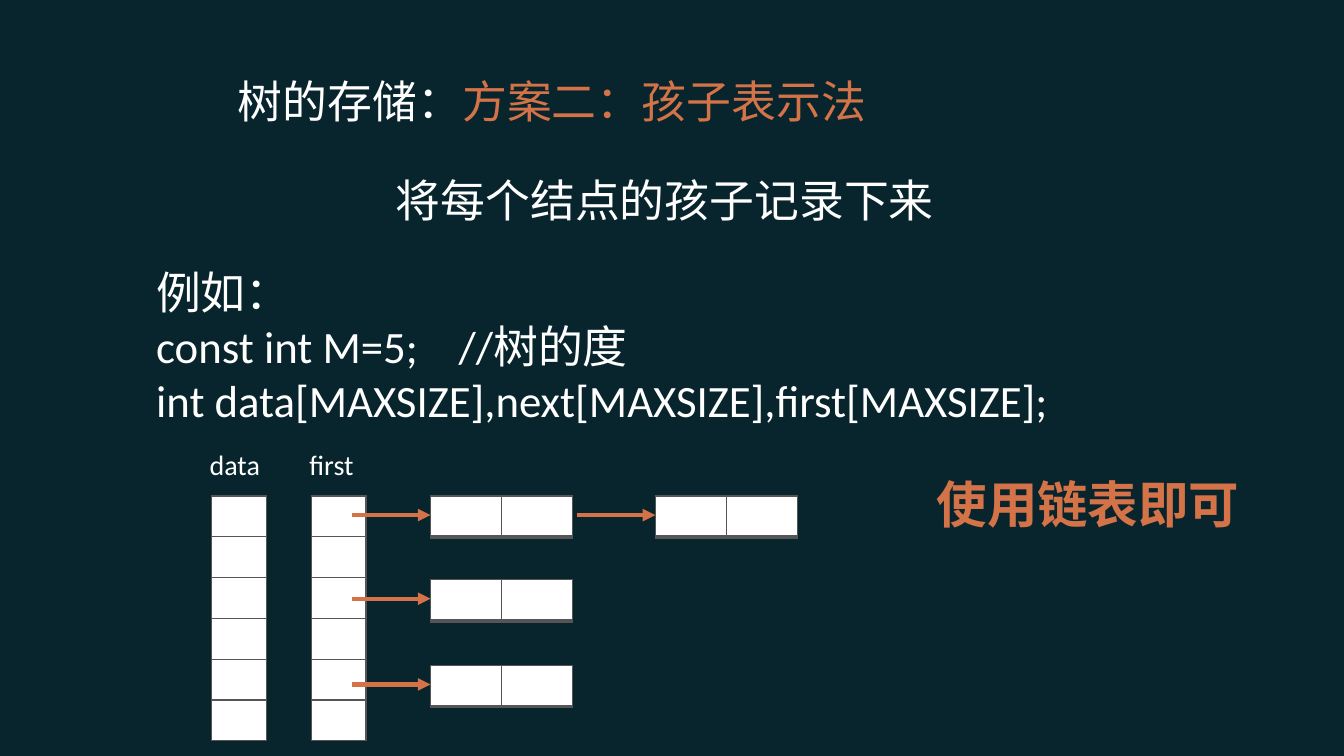
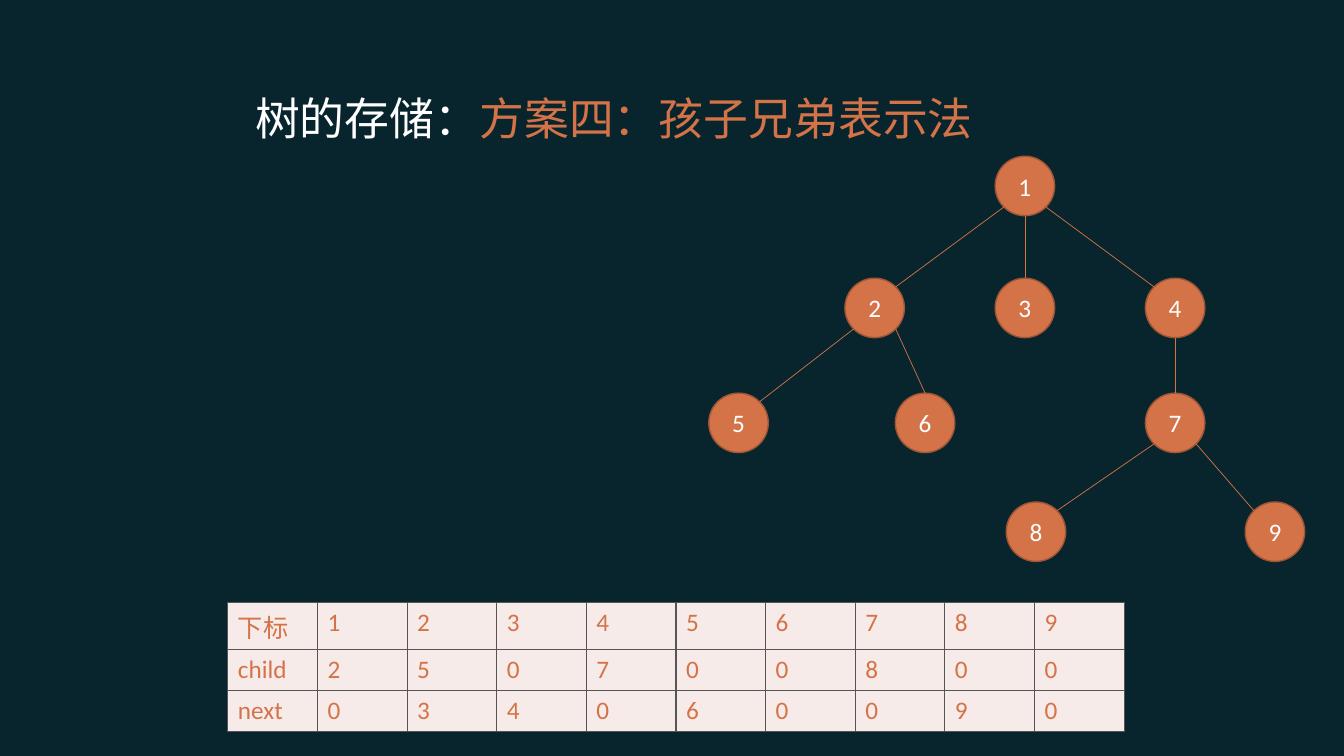
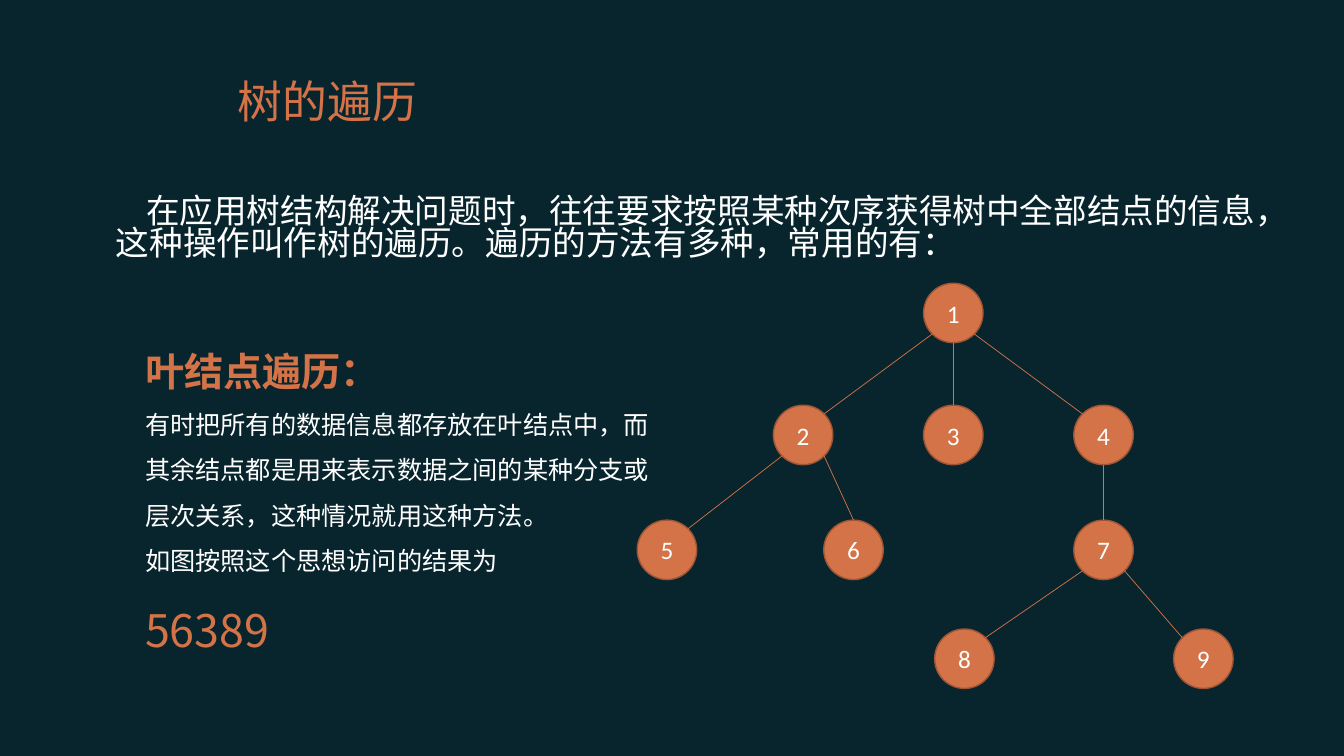
"""Build three slides on storing and traversing trees."""
import dataclasses
import math
import typing

import lxml.etree
import pptx
import pptx.dml.color
import pptx.enum.shapes
import pptx.enum.text
import pptx.oxml.ns
import pptx.util

Inches = pptx.util.Inches
Pt = pptx.util.Pt
qn = pptx.oxml.ns.qn
Align = pptx.enum.text.PP_ALIGN


@dataclasses.dataclass(frozen=True)
class Theme:
    background: str = "08252D"
    accent: str = "D47348"
    node_edge: str = "9D5535"
    grid: str = "555555"
    white: str = "FFFFFF"
    table_fill: str = "F7EBE9"
    latin: str = "Calibri"
    cjk: str = "Noto Sans CJK SC"
    callout: int = 36
    title: int = 32
    heading: int = 28
    intro: int = 24
    label: int = 20
    body: int = 18


THEME = Theme()


class Box(typing.NamedTuple):
    left: float
    top: float
    width: float
    height: float

    def lengths(self) -> list[int]:
        return [Inches(value) for value in self]


@dataclasses.dataclass(frozen=True)
class Run:
    text: str
    size: int = THEME.title
    color: str = THEME.white
    font: str = THEME.latin
    bold: bool = False


@dataclasses.dataclass(frozen=True)
class Para:
    runs: tuple[Run, ...]
    format: dict[str, typing.Any] = dataclasses.field(default_factory=dict)
    margin: float = 0
    indent: float = 0
    tab: float = 0


class Node(typing.NamedTuple):
    label: str
    dx: float
    dy: float


class Edge(typing.NamedTuple):
    parent: str
    child: str
    leave: int
    arrive: int


NODE_SIZE = 0.59
NODES = (
    Node("1", 0, 0),
    Node("2", -1.49, 1.21),
    Node("3", 0, 1.21),
    Node("4", 1.49, 1.21),
    Node("5", -2.84, 2.35),
    Node("6", -0.99, 2.35),
    Node("7", 1.49, 2.35),
    Node("8", 0.11, 3.43),
    Node("9", 2.48, 3.43),
)
EDGES = (
    Edge("1", "2", 135, -45),
    Edge("1", "3", 90, -90),
    Edge("1", "4", 45, -135),
    Edge("2", "5", 135, -45),
    Edge("2", "6", 45, -90),
    Edge("4", "7", 90, -90),
    Edge("7", "8", 135, -45),
    Edge("7", "9", 45, -135),
)


def rgb(value: str) -> pptx.dml.color.RGBColor:
    """Turn a hex string into a colour."""
    return pptx.dml.color.RGBColor.from_string(value)


def apply(target: typing.Any, values: dict[str, typing.Any]) -> None:
    """Set each named attribute on the target."""
    for name, value in values.items():
        setattr(target, name, value)


def style_font(font: typing.Any, run: Run) -> None:
    """Give a font the look of a run."""
    apply(font, {"name": run.font, "size": Pt(run.size), "bold": run.bold})
    font.color.rgb = rgb(run.color)


def write(frame: typing.Any, paras: typing.Sequence[Para]) -> None:
    """Fill a text frame with formatted paragraphs."""
    for index, para in enumerate(paras):
        paragraph = frame.paragraphs[0] if index == 0 else frame.add_paragraph()
        properties = paragraph._p.get_or_add_pPr()
        properties.set("marL", str(Inches(para.margin)))
        properties.set("indent", str(Inches(para.indent)))
        if para.tab:
            stops = lxml.etree.SubElement(properties, qn("a:tabLst"))
            lxml.etree.SubElement(stops, qn("a:tab"), pos=str(Inches(para.tab)), algn="l")
        apply(paragraph, {"alignment": Align.LEFT} | para.format)
        for run in para.runs:
            piece = paragraph.add_run()
            piece.text = run.text
            style_font(piece.font, run)
            lxml.etree.SubElement(
                piece._r.get_or_add_rPr(), qn("a:ea"), typeface=THEME.latin
            )


def add_text(slide: typing.Any, box: Box, *paras: Para) -> None:
    """Add a wrapping text box."""
    frame = slide.shapes.add_textbox(*box.lengths()).text_frame
    frame.word_wrap = True
    write(frame, paras)


def add_line(
    slide: typing.Any,
    start: tuple[float, float],
    end: tuple[float, float],
    width: float,
    arrow: bool = False,
) -> None:
    """Add a straight accent line, with an arrowhead if asked."""
    line = slide.shapes.add_connector(
        pptx.enum.shapes.MSO_CONNECTOR.STRAIGHT,
        *(Inches(value) for value in (*start, *end)),
    )
    line.line.color.rgb = rgb(THEME.accent)
    line.line.width = Pt(width)
    properties = line._element.spPr
    if arrow:
        lxml.etree.SubElement(properties.find(qn("a:ln")), qn("a:tailEnd"), type="triangle")
    lxml.etree.SubElement(properties, qn("a:effectLst"))


def add_grid(
    slide: typing.Any,
    box: Box,
    rows: typing.Sequence[typing.Sequence[str]],
    fill: str,
    bottom: float = 1,
) -> None:
    """Add a table of equal cells with ruled borders."""
    table = slide.shapes.add_table(len(rows), len(rows[0]), *box.lengths()).table
    apply(table, {"first_row": False, "horz_banding": False})
    for column in table.columns:
        column.width = Inches(box.width / len(rows[0]))
    for row, texts in zip(table.rows, rows):
        row.height = Inches(box.height / len(rows))
        for cell, text in zip(row.cells, texts):
            properties = cell._tc.get_or_add_tcPr()
            for side, width in {"L": 1, "R": 1, "T": 1, "B": bottom}.items():
                border = lxml.etree.SubElement(properties, qn(f"a:ln{side}"), w=str(Pt(width)))
                paint = lxml.etree.SubElement(border, qn("a:solidFill"))
                lxml.etree.SubElement(paint, qn("a:srgbClr"), val=THEME.grid)
            cell.fill.solid()
            cell.fill.fore_color.rgb = rgb(fill)
            if text:
                cell.text = text
                style_font(
                    cell.text_frame.paragraphs[0].runs[0].font,
                    Run(text, THEME.body, THEME.accent),
                )


def add_tree(slide: typing.Any, left: float, top: float) -> None:
    """Draw the nine-node tree with its root at the given corner."""
    radius = NODE_SIZE / 2
    centers: dict[str, tuple[float, float]] = {}
    for node in NODES:
        box = Box(left + node.dx, top + node.dy, NODE_SIZE, NODE_SIZE)
        centers[node.label] = (box.left + radius, box.top + radius)
        circle = slide.shapes.add_shape(
            pptx.enum.shapes.MSO_SHAPE.OVAL, *box.lengths()
        )
        circle.shadow.inherit = False
        circle.fill.solid()
        circle.fill.fore_color.rgb = rgb(THEME.accent)
        circle.line.color.rgb = rgb(THEME.node_edge)
        circle.line.width = Pt(1)
        circle.text_frame.vertical_anchor = pptx.enum.text.MSO_ANCHOR.MIDDLE
        write(
            circle.text_frame,
            [Para((Run(node.label, THEME.body),), {"alignment": Align.CENTER})],
        )

    def rim(label: str, degrees: int) -> tuple[float, float]:
        """Find the point on a node's rim at an angle."""
        x, y = centers[label]
        angle = math.radians(degrees)
        return x + radius * math.cos(angle), y + radius * math.sin(angle)

    for edge in EDGES:
        add_line(slide, rim(edge.parent, edge.leave), rim(edge.child, edge.arrive), 0.5)


def place(shape: typing.Any, box: Box) -> None:
    """Move and size a shape."""
    apply(shape, dict(zip(("left", "top", "width", "height"), box.lengths())))


def add_slide(deck: typing.Any, *title: Run) -> typing.Any:
    """Add a slide with a left-aligned title."""
    slide = deck.slides.add_slide(deck.slide_layouts[5])
    write(slide.shapes.title.text_frame, [Para(title)])
    return slide


def storage_title(scheme: str, method: str) -> tuple[Run, ...]:
    """Compose the title of a storage scheme."""
    return (
        Run("树的存储："),
        Run(scheme, color=THEME.accent),
        Run(method, color=THEME.accent, font=THEME.cjk),
    )


def build_children(deck: typing.Any) -> None:
    """Build the slide on the child representation."""
    slide = add_slide(deck, *storage_title("方案二：", "孩子表示法"))
    add_text(
        slide,
        Box(3.54, 1.66, 6.11, 0.64),
        Para((Run("将每个结点的孩子记录下来"),), {"alignment": Align.CENTER}),
    )
    add_text(
        slide,
        Box(1.45, 2.58, 9.49, 1.72),
        Para((Run("例如："),)),
        Para((Run("const int M=5;\t//树的度"),), tab=3.2),
        Para((Run("int data[MAXSIZE],next[MAXSIZE],first[MAXSIZE];"),)),
    )
    for name, left in (("data", 2.1), ("first", 3.09)):
        add_grid(slide, Box(left, 4.92, 0.54, 2.43), [[""]] * 6, THEME.white)
        add_text(slide, Box(left - 0.12, 4.39, 0.79, 0.44), Para((Run(name, THEME.label),)))
    for left, top in ((4.27, 4.92), (6.5, 4.92), (4.27, 5.75), (4.27, 6.6)):
        arrow_y = top + 0.19
        add_line(slide, (left - 0.78, arrow_y), (left, arrow_y), 3, arrow=True)
        add_grid(slide, Box(left, top, 1.41, 0.41), [["", ""]], THEME.white, bottom=3)
    add_text(
        slide,
        Box(9.03, 4.64, 3.52, 0.71),
        Para(
            (Run("使用链表即可", THEME.callout, THEME.accent, THEME.cjk, True),),
            {"alignment": Align.CENTER},
        ),
    )


def build_siblings(deck: typing.Any) -> None:
    """Build the slide on the child-sibling representation."""
    slide = add_slide(deck, *storage_title("方案四：", "孩子兄弟表示法"))
    place(slide.shapes.title, Box(2.43, 0.77, 7.95, 0.79))
    add_tree(slide, 9.87, 1.55)
    rows = [
        ["下标", *"123456789"],
        ["child", *"250700800"],
        ["next", *"034060090"],
    ]
    add_grid(slide, Box(2.26, 5.98, 8.89, 1.22), rows, THEME.table_fill)


def build_traversal(deck: typing.Any) -> None:
    """Build the slide on leaf traversal."""
    slide = add_slide(deck, Run("树的遍历", color=THEME.accent))
    add_tree(slide, 9.16, 2.81)
    intro = (
        "在应用树结构解决问题时，往往要求按照某种次序获得树中全部结点的信息，"
        "这种操作叫作树的遍历。遍历的方法有多种，常用的有："
    )
    add_text(
        slide,
        Box(0.68, 1.91, 12.41, 1.04),
        Para(
            (Run(intro, THEME.intro, font=THEME.cjk),),
            {"line_spacing": 0.8},
            margin=0.37,
            indent=0.3,
        ),
    )
    explanation = (
        "有时把所有的数据信息都存放在叶结点中，而其余结点都是用来表示数据之间的"
        "某种分支或层次关系，这种情况就用这种方法。"
    )
    lines = (
        Run("叶结点遍历：", THEME.heading, THEME.accent, THEME.cjk, True),
        Run(explanation, THEME.body, font=THEME.cjk),
        Run("如图按照这个思想访问的结果为", THEME.body, font=THEME.cjk),
        Run("56389", THEME.title, THEME.accent, THEME.cjk),
    )
    add_text(
        slide,
        Box(1.34, 3.16, 5.37, 3.43),
        *(Para((line,), {"line_spacing": 1.5}) for line in lines),
    )


def main() -> None:
    """Set up the shared template, build the slides and save them."""
    deck = pptx.Presentation()
    apply(deck, {"slide_width": Inches(13.33), "slide_height": Inches(7.5)})
    backdrop = deck.slide_master.background.fill
    backdrop.solid()
    backdrop.fore_color.rgb = rgb(THEME.background)
    title = deck.slide_layouts[5].placeholders[0]
    place(title, Box(2.26, 0.6, 7.95, 0.79))
    title.text_frame.vertical_anchor = pptx.enum.text.MSO_ANCHOR.MIDDLE
    for build in (build_children, build_siblings, build_traversal):
        build(deck)
    deck.save("out.pptx")


if __name__ == "__main__":
    main()
